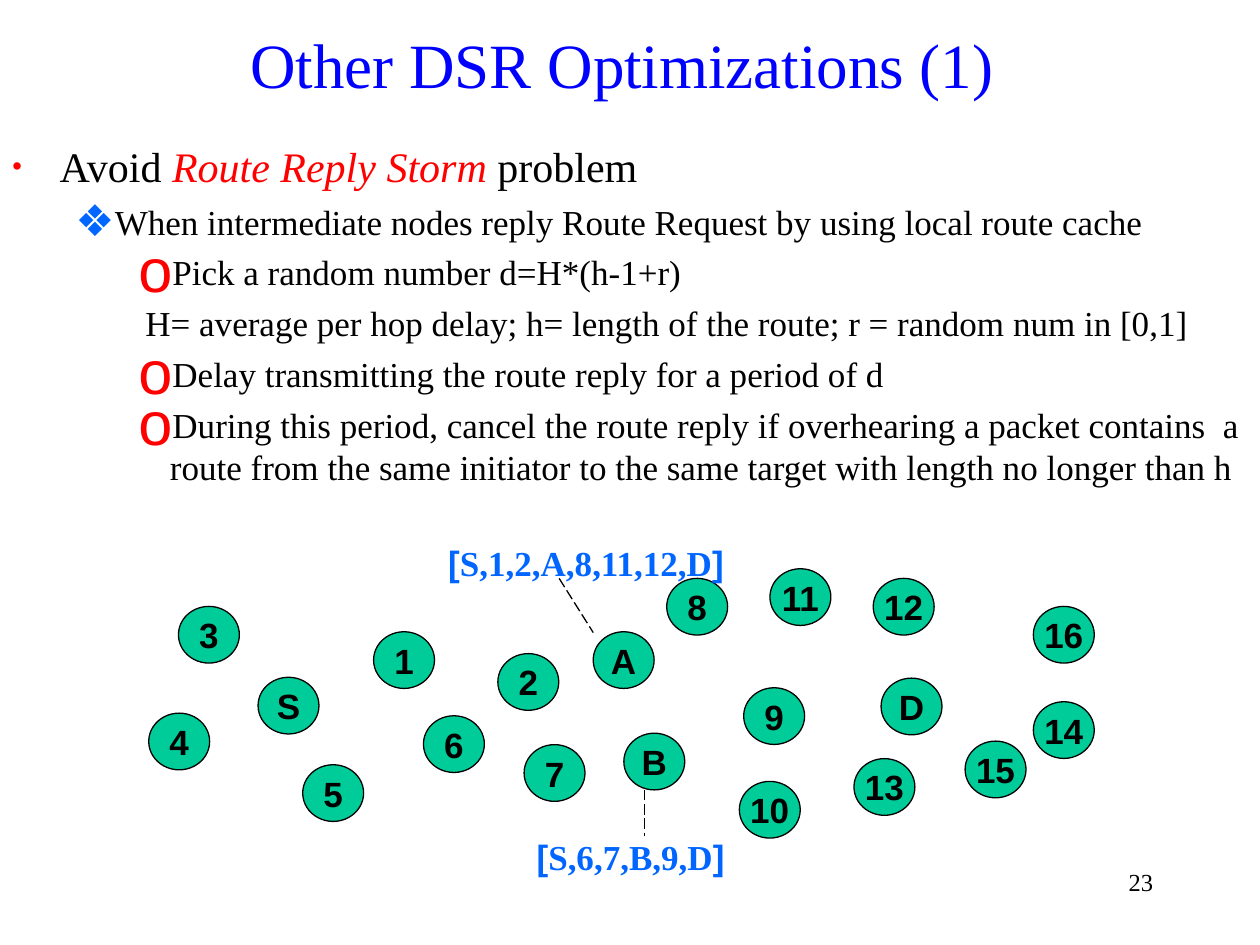
from lxml.etree import SubElement
from pptx import Presentation
from pptx.dml.color import RGBColor
from pptx.enum.dml import MSO_LINE
from pptx.enum.shapes import MSO_CONNECTOR, MSO_SHAPE
from pptx.enum.text import MSO_ANCHOR, PP_ALIGN
from pptx.oxml.ns import qn
from pptx.util import Pt

COLORS = {"title": "0000FF", "text": "000000", "accent": "FF0000",
          "route": "0066FF", "node": "00CC99"}
SERIF, SANS = "Times New Roman", "Arial"


def add_run(paragraph, text, size=20, font=SERIF, color="text", bold=False, italic=False):
    run = paragraph.add_run()
    run.text = text
    run.font.size = Pt(size)
    run.font.name = font
    run.font.bold = bold
    run.font.italic = italic
    run.font.color.rgb = RGBColor.from_string(COLORS[color])


def set_bullet(paragraph, margin, indent, character, color, percent):
    """Set the left margin, first-line indent and, if given, the bullet."""
    properties = paragraph._p.get_or_add_pPr()
    properties.set("marL", str(Pt(margin)))
    properties.set("indent", str(Pt(indent)))
    if not character:
        SubElement(properties, qn("a:buNone"))
        return
    bullet_color = SubElement(properties, qn("a:buClr"))
    SubElement(bullet_color, qn("a:srgbClr"), val=COLORS[color])
    SubElement(properties, qn("a:buSzPct"), val=str(percent * 1000))
    SubElement(properties, qn("a:buFont"), typeface=SANS)
    SubElement(properties, qn("a:buChar"), char=character)


presentation = Presentation()
presentation.slide_width, presentation.slide_height = Pt(720), Pt(540)
slide = presentation.slides.add_slide(presentation.slide_layouts[5])

# Title
title = slide.shapes.title
title.left, title.top, title.width, title.height = Pt(54), Pt(18), Pt(612), Pt(36.7)
title.text_frame.vertical_anchor = MSO_ANCHOR.MIDDLE
paragraph = title.text_frame.paragraphs[0]
paragraph.alignment = PP_ALIGN.CENTER
add_run(paragraph, "Other DSR Optimizations (1) ", size=36, color="title")

# Outline: margin, indent, bullet, bullet colour, bullet percent
top_level = (27, -27, "•", "accent", 65)
second_level = (58.5, -22.5, "❖", "route", 125)
third_level = (90, -18, "o", "accent", 175)
no_bullet = (76, 0, None, None, None)
outline = [
    (second_level, "When intermediate nodes reply Route Request by using local route cache"),
    (third_level, "Pick a random number d=H*(h-1+r)"),
    (no_bullet, "H= average per hop delay; h= length of the route; r = random num in [0,1]"),
    (third_level, "Delay transmitting the route reply for a period of d"),
    (third_level, "During this period, cancel the route reply if overhearing a packet contains  a "
                  "route from the same initiator to the same target with length no longer than h"),
]
body = slide.shapes.add_textbox(Pt(0), Pt(77), Pt(718), Pt(453)).text_frame
body.word_wrap = True
paragraph = body.paragraphs[0]
paragraph.space_before = Pt(6)
set_bullet(paragraph, *top_level)
add_run(paragraph, "Avoid ", size=24)
add_run(paragraph, "Route Reply Storm", size=24, color="accent", italic=True)
add_run(paragraph, " problem", size=24)
for level, text in outline:
    paragraph = body.add_paragraph()
    paragraph.space_before = Pt(5)
    set_bullet(paragraph, *level)
    add_run(paragraph, text)

# Network nodes
nodes = {
    "A": (339, 361), "2": (284.5, 373.5), "8": (381, 330.5), "B": (356.5, 419),
    "1": (213.5, 361), "D": (503.5, 387.5), "11": (440, 325), "7": (299.5, 425.5),
    "10": (422.5, 446.5), "14": (590.5, 401), "13": (488, 433.5), "S": (147.5, 387),
    "12": (499, 330.5), "9": (425, 393), "6": (242, 409), "4": (85, 407.5),
    "5": (173, 437), "3": (102, 346.5), "15": (551.5, 423.5), "16": (590.5, 346.5),
}
for name, (left, top) in nodes.items():
    node = slide.shapes.add_shape(MSO_SHAPE.OVAL, Pt(left), Pt(top), Pt(34.8), Pt(32.4))
    node.shadow.inherit = False
    node.fill.solid()
    node.fill.fore_color.rgb = RGBColor.from_string(COLORS["node"])
    node.line.color.rgb = RGBColor.from_string(COLORS["text"])
    node.line.width = Pt(0.75)
    node.text_frame.word_wrap = False
    node.text_frame.vertical_anchor = MSO_ANCHOR.MIDDLE
    paragraph = node.text_frame.paragraphs[0]
    paragraph.alignment = PP_ALIGN.CENTER
    add_run(paragraph, name, font=SANS, bold=True)

# Cached routes
for route, left, top, width in [("S,1,2,A,8,11,12,D", 248.5, 306, 172.8),
                                ("S,6,7,B,9,D", 299.5, 474, 121.7)]:
    label = slide.shapes.add_textbox(Pt(left), Pt(top), Pt(width), Pt(31.5)).text_frame
    label.word_wrap = False
    paragraph = label.paragraphs[0]
    paragraph.alignment = PP_ALIGN.CENTER
    for text, font in [("[", SANS), (route, SERIF), ("]", SANS)]:
        add_run(paragraph, text, font=font, color="route", bold=True)

for ends in [(319.5, 330.5, 339, 361.5), (368.5, 451.5, 368.5, 478)]:
    pointer = slide.shapes.add_connector(MSO_CONNECTOR.STRAIGHT, *map(Pt, ends))
    pointer.line.color.rgb = RGBColor.from_string(COLORS["text"])
    pointer.line.width = Pt(0.75)
    pointer.line.dash_style = MSO_LINE.LONG_DASH
    SubElement(pointer._element.spPr, qn("a:effectLst"))

# Slide number
number = slide.shapes.add_textbox(Pt(516), Pt(492), Pt(150), Pt(36)).text_frame
number.word_wrap = True
paragraph = number.paragraphs[0]
paragraph.alignment = PP_ALIGN.RIGHT
add_run(paragraph, "23", size=14)

presentation.save("out.pptx")
